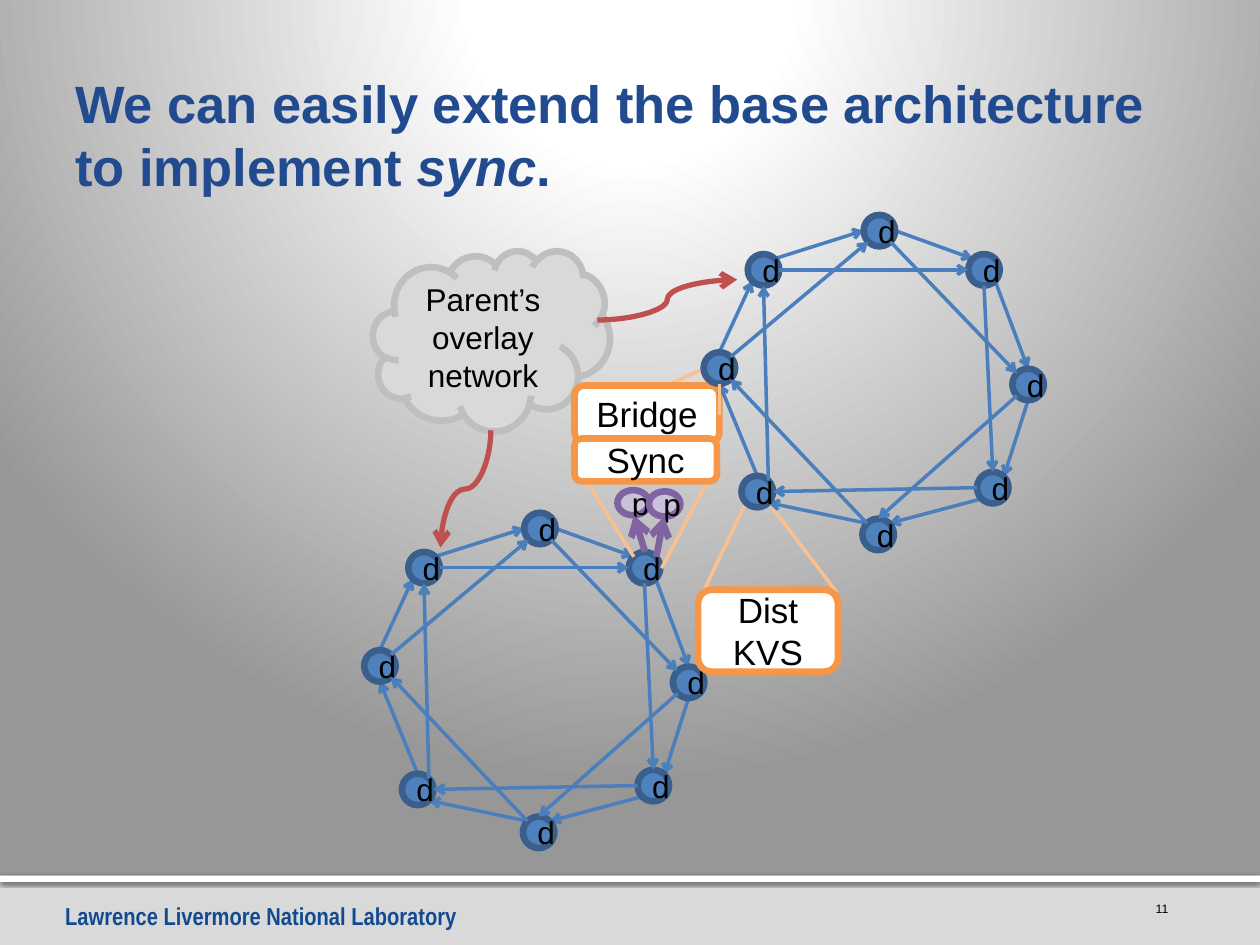
from math import sqrt

from pptx import Presentation
from pptx.dml.color import RGBColor
from pptx.enum.shapes import MSO_CONNECTOR, MSO_SHAPE
from pptx.enum.text import MSO_ANCHOR, MSO_AUTO_SIZE, PP_ALIGN
from pptx.oxml import parse_xml
from pptx.oxml.ns import nsdecls
from pptx.util import Pt

NODE_SIZE = 18
RING_NODES = {
    "top": (299.5, 293), "upper right": (359.3, 315.4), "right": (384.5, 380.9),
    "lower right": (364.3, 439.9), "bottom": (298.8, 466.6),
    "lower left": (229.7, 442.1), "left": (208.1, 371.5), "upper left": (233.3, 315.4),
}
SECOND_RING_SHIFT = (194, -170.2)
SITES = {
    "N": (0, -1), "S": (0, 1), "W": (-1, 0), "E": (1, 0),
    "NW": (-sqrt(0.5), -sqrt(0.5)), "NE": (sqrt(0.5), -sqrt(0.5)),
    "SW": (-sqrt(0.5), sqrt(0.5)), "SE": (sqrt(0.5), sqrt(0.5)),
}
OUTER_LINKS = [
    ("top", "E", "upper right", "NW"), ("upper right", "SE", "right", "N"),
    ("right", "S", "lower right", "NE"), ("lower right", "SW", "bottom", "NE"),
    ("bottom", "NW", "lower left", "SE"), ("lower left", "N", "left", "S"),
    ("left", "N", "upper left", "SW"), ("upper left", "NE", "top", "W"),
]
INNER_LINKS = [
    ("top", "SE", "right", "NW"), ("upper right", "S", "lower right", "N"),
    ("right", "SW", "bottom", "N"), ("lower right", "W", "lower left", "E"),
    ("bottom", "NW", "left", "SE"), ("lower left", "NE", "upper left", "S"),
    ("left", "NE", "top", "SW"), ("upper left", "E", "upper right", "W"),
]


def color(value):
    return RGBColor.from_string(value)


def style_paragraph(paragraph, size, text_color, font="Arial", bold=False):
    paragraph.font.size = Pt(size)
    paragraph.font.name = font
    paragraph.font.bold = bold
    paragraph.font.color.rgb = color(text_color)


def add_background(slide):
    slide.background.fill.solid()
    properties = slide.background._cSld.bg.bgPr
    stops = "".join(
        f'<a:gs pos="{position * 1000}"><a:srgbClr val="{value}"/></a:gs>'
        for position, value in [(0, "FFFFFF"), (12, "FFFFFF"), (20, "FFFFFF"), (100, "979797")]
    )
    gradient = parse_xml(
        f'<a:gradFill {nsdecls("a")} rotWithShape="1"><a:gsLst>{stops}</a:gsLst>'
        '<a:path path="circle"><a:fillToRect l="10000" t="-25000" r="10000" b="125000"/>'
        "</a:path></a:gradFill>"
    )
    properties.replace(properties[0], gradient)


def add_bar(slide, height, fill, opacity, blur, distance):
    shape = slide.shapes.add_shape(MSO_SHAPE.RECTANGLE, 0, Pt(500.4), Pt(720), Pt(height))
    shape.fill.solid()
    shape.fill.fore_color.rgb = color(fill)
    shape.line.fill.background()
    shape._element.spPr.append(parse_xml(
        f'<a:effectLst {nsdecls("a")}><a:outerShdw blurRad="{Pt(blur)}" dist="{Pt(distance)}" '
        f'dir="5400000" rotWithShape="0"><a:srgbClr val="000000">'
        f'<a:alpha val="{opacity * 1000}"/></a:srgbClr></a:outerShdw></a:effectLst>'
    ))


def add_text(slide, left, top, width, height):
    frame = slide.shapes.add_textbox(Pt(left), Pt(top), Pt(width), Pt(height)).text_frame
    frame.word_wrap = True
    return frame


def add_title(slide):
    frame = add_text(slide, 36, 17.3, 648, 98.6)
    frame.vertical_anchor = MSO_ANCHOR.BOTTOM
    frame.margin_right = Pt(3.6)
    paragraph = frame.paragraphs[0]
    for text, italic in [("We can easily extend the base architecture to implement ", False),
                         ("sync", True), (".", False)]:
        run = paragraph.add_run()
        run.text = text
        run.font.italic = italic
    style_paragraph(paragraph, 30, "214A8F", bold=True)


def add_footer(slide):
    add_bar(slide, 39.6, "D9D9D9", 38, 3.1, 2)
    add_bar(slide, 3.6, "FFFFFF", 60, 2.5, 0.8)
    laboratory = add_text(slide, 30.2, 511.2, 240.5, 24.5)
    laboratory.auto_size = MSO_AUTO_SIZE.SHAPE_TO_FIT_TEXT
    laboratory.text = "Lawrence Livermore National Laboratory"
    style_paragraph(laboratory.paragraphs[0], 14, "124A91", "Arial Narrow", True)
    number = add_text(slide, 646.6, 511.2, 28.1, 12.2)
    number.text = "11"
    number.paragraphs[0].alignment = PP_ALIGN.RIGHT
    style_paragraph(number.paragraphs[0], 7, "000000")


def add_label(slide, kind, left, top, width, height, text, fill, line, size=18):
    shape = slide.shapes.add_shape(kind, Pt(left), Pt(top), Pt(width), Pt(height))
    shape.shadow.inherit = False
    shape.fill.solid()
    shape.fill.fore_color.rgb = color(fill)
    shape.line.color.rgb = color(line)
    shape.line.width = Pt(3.78)
    frame = shape.text_frame
    frame.text = text
    frame.vertical_anchor = MSO_ANCHOR.MIDDLE
    frame.paragraphs[0].alignment = PP_ALIGN.CENTER
    style_paragraph(frame.paragraphs[0], size, "000000")


def add_line(slide, start, end, line, width=2, arrow=True, kind=MSO_CONNECTOR.STRAIGHT):
    connector = slide.shapes.add_connector(kind, *(Pt(value) for value in (*start, *end)))
    connector.line.color.rgb = color(line)
    connector.line.width = Pt(width)
    if arrow:
        connector.line._get_or_add_ln().append(
            parse_xml(f'<a:tailEnd {nsdecls("a")} type="arrow"/>'))
    connector._element.spPr.append(parse_xml(f'<a:effectLst {nsdecls("a")}/>'))
    return connector


def add_ring(slide, shift=(0, 0)):
    nodes = {name: (x + shift[0], y + shift[1]) for name, (x, y) in RING_NODES.items()}

    def site(name, side):
        return [corner + NODE_SIZE / 2 * (1 + step)
                for corner, step in zip(nodes[name], SITES[side])]

    def add_links(links):
        for source, source_side, target, target_side in links:
            add_line(slide, site(source, source_side), site(target, target_side), "4B7EBC")

    add_links(OUTER_LINKS)
    for left, top in nodes.values():
        add_label(slide, MSO_SHAPE.OVAL, left, top, NODE_SIZE, NODE_SIZE,
                  "d", "4F81BD", "3A5F8C")
    add_links(INNER_LINKS)


def add_processes(slide):
    for left, top in [(352.8, 280.1), (370.8, 280.8)]:
        add_label(slide, MSO_SHAPE.OVAL, left, top, 18, 14.4, "p", "CCC1DA", "8064A2")
    add_line(slide, (375.1, 318.2), (379.4, 295.2), "8064A2", 3.78)
    add_line(slide, (368.6, 315.4), (362.2, 294.5), "8064A2", 3.78)


def add_modules(slide):
    for start, end in [((378, 324.7), (410.4, 263.5)), ((362.2, 318.2), (328.3, 263.5)),
                       ((401.8, 211), (359.3, 229.7)), ((426.2, 287.3), (402.5, 337)),
                       ((439.2, 287.3), (478.1, 338.4))]:
        add_line(slide, start, end, "FAC090", arrow=False)
    for text, *box in [("Bridge", 328.3, 220.3, 82.8, 32.4), ("Sync", 328.3, 250.6, 81.4, 24.5),
                       ("Dist KVS", 398.9, 337, 79.9, 46.8)]:
        add_label(slide, MSO_SHAPE.ROUNDED_RECTANGLE, *box, text, "FFFFFF", "F79646", 20)


def main():
    presentation = Presentation()
    presentation.slide_width, presentation.slide_height = Pt(720), Pt(540)
    slide = presentation.slides.add_slide(presentation.slide_layouts[6])
    add_background(slide)
    add_footer(slide)
    add_title(slide)
    add_label(slide, MSO_SHAPE.CLOUD, 213.1, 143.3, 135.4, 103,
              "Parent’s overlay network", "D9D9D9", "BFBFBF")
    downward = add_line(slide, (232.6, 265), (299.6, 293.8), "C0504D", 3,
                        kind=MSO_CONNECTOR.CURVE)
    downward._element.spPr.xfrm.set("rot", "5400000")
    add_ring(slide)
    add_processes(slide)
    add_modules(slide)
    add_line(slide, (341.3, 182.9), (421.2, 159.8), "C0504D", 3, kind=MSO_CONNECTOR.CURVE)
    add_ring(slide, SECOND_RING_SHIFT)
    add_line(slide, (411.1, 219.6), (411.1, 236.9), "FAC090", arrow=False)
    presentation.save("out.pptx")


if __name__ == "__main__":
    main()
